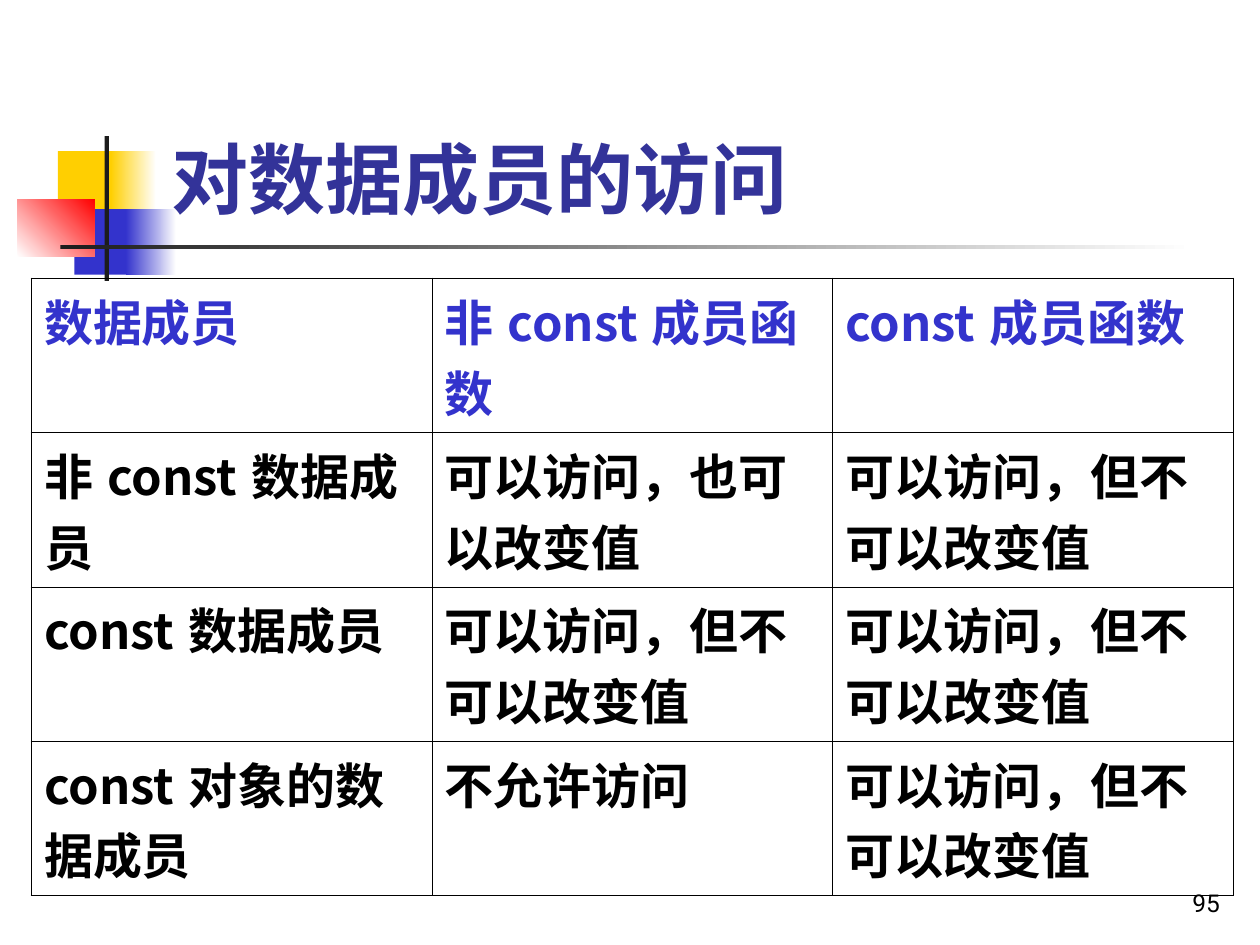
from lxml import etree
from pptx import Presentation
from pptx.dml.color import RGBColor
from pptx.enum.shapes import MSO_SHAPE
from pptx.enum.text import MSO_ANCHOR, MSO_AUTO_SIZE, PP_ALIGN
from pptx.oxml.ns import qn
from pptx.util import Inches, Pt

RECTANGLE = MSO_SHAPE.RECTANGLE
BOTTOM = MSO_ANCHOR.BOTTOM
NO_AUTOFIT = MSO_AUTO_SIZE.NONE
LEFT, RIGHT = PP_ALIGN.LEFT, PP_ALIGN.RIGHT

BLACK = RGBColor(0x00, 0x00, 0x00)
CHARCOAL = RGBColor(0x1C, 0x1C, 0x1C)
WHITE = RGBColor(0xFF, 0xFF, 0xFF)
YELLOW = RGBColor(0xFF, 0xCF, 0x01)
BLUE = RGBColor(0x33, 0x33, 0xCC)
NAVY = RGBColor(0x33, 0x33, 0x99)
RED = RGBColor(0xFF, 0x00, 0x00)

COLUMNS, ROWS = 100, 75
ACCESS_RULES = [
    ["数据成员", "非const成员函数", "const成员函数"],
    ["非const数据成员", "可以访问，也可以改变值", "可以访问，但不可以改变值"],
    ["const数据成员", "可以访问，但不可以改变值", "可以访问，但不可以改变值"],
    ["const对象的数据成员", "不允许访问", "可以访问，但不可以改变值"],
]


class SlideBuilder:
    """Draws styled elements on one slide, placed in grid columns and rows."""

    heading_font = "Noto Sans CJK SC"
    number_font = "Roboto"
    outer_line, inner_line = 1.08, 0.45

    def __init__(self, deck):
        self.page = deck.slides.add_slide(deck.slide_layouts[5])
        self.column = deck.slide_width / COLUMNS
        self.row = deck.slide_height / ROWS

    def place(self, left, top, width, height):
        return (round(left * self.column), round(top * self.row),
                round(width * self.column), round(height * self.row))

    def set_text(self, frame, text, font, size, color, bold=False, align=LEFT):
        frame.text = text
        frame.word_wrap = True
        para = frame.paragraphs[0]
        para.alignment = align
        span = para.runs[0]
        span.font.name = font
        span.font.size = Pt(size)
        span.font.bold = bold
        span.font.color.rgb = color
        east_asian = etree.SubElement(span.font._element, qn("a:ea"))
        east_asian.set("typeface", font)
        return para

    def block(self, area, color, fade_to=None, angle=0):
        box = self.page.shapes.add_shape(RECTANGLE, *self.place(*area))
        box.shadow.inherit = False
        box.line.fill.background()
        if fade_to is None:
            box.fill.solid()
            box.fill.fore_color.rgb = color
            return
        box.fill.gradient()
        box.fill.gradient_angle = angle
        for stop, shade in zip(box.fill.gradient_stops, (color, fade_to)):
            stop.color.rgb = shade

    def title(self, area, text):
        box = self.page.shapes.title
        box.left, box.top, box.width, box.height = self.place(*area)
        frame = box.text_frame
        frame.auto_size = NO_AUTOFIT
        frame.vertical_anchor = BOTTOM
        self.set_text(frame, text, self.heading_font, 44, NAVY, bold=True)
        self.page.shapes._spTree.append(box._element)

    def page_number(self, area, text):
        box = self.page.shapes.add_textbox(*self.place(*area))
        box.text_frame.vertical_anchor = BOTTOM
        self.set_text(box.text_frame, text, self.number_font, 14, BLACK, align=RIGHT)

    def border(self, cell, outer_sides):
        properties = cell._tc.get_or_add_tcPr()
        for position, side in enumerate("LRTB"):
            width = self.outer_line if side in outer_sides else self.inner_line
            line = etree.Element(qn(f"a:ln{side}"), w=str(Pt(width)))
            fill = etree.SubElement(line, qn("a:solidFill"))
            etree.SubElement(fill, qn("a:srgbClr"), val=str(BLACK))
            properties.insert(position, line)

    def table(self, area, rows):
        last_row, last_column = len(rows) - 1, len(rows[0]) - 1
        grid = self.page.shapes.add_table(
            len(rows), len(rows[0]), *self.place(*area)).table
        grid.first_row = grid.horz_banding = False
        for row_index, texts in enumerate(rows):
            for column_index, text in enumerate(texts):
                cell = grid.cell(row_index, column_index)
                cell.fill.background()
                color = BLUE if row_index == 0 else BLACK
                para = self.set_text(cell.text_frame, text, self.heading_font,
                                     28, color, bold=True)
                para.space_before = Pt(7)
                edges = {"L": column_index == 0, "R": column_index == last_column,
                         "T": row_index == 0, "B": row_index == last_row}
                self.border(cell, [side for side, outer in edges.items() if outer])


def main():
    deck = Presentation()
    deck.slide_width, deck.slide_height = Inches(10), Inches(7.5)
    slide = SlideBuilder(deck)
    slide.block((4.6, 12, 4.8, 5.2), YELLOW)
    slide.block((8.8, 12, 3.6, 5.2), YELLOW, WHITE)
    slide.block((5.9, 16.6, 4.6, 5.2), BLUE)
    slide.block((10, 16.6, 4, 5.2), BLUE, WHITE)
    slide.block((1.4, 15.8, 6.1, 4.6), WHITE, RED, angle=45)
    slide.block((8.3, 10.8, 0.35, 11.5), CHARCOAL)
    slide.block((4.8, 19.45, 90, 0.35), CHARCOAL, WHITE)
    slide.page_number((77, 68.3, 20.8, 5), "95")
    slide.title((12.6, 2.3, 85.2, 16), "对数据成员的访问")
    slide.table((2.5, 22.1, 95.4, 48.9), ACCESS_RULES)
    deck.save("out.pptx")


if __name__ == "__main__":
    main()
